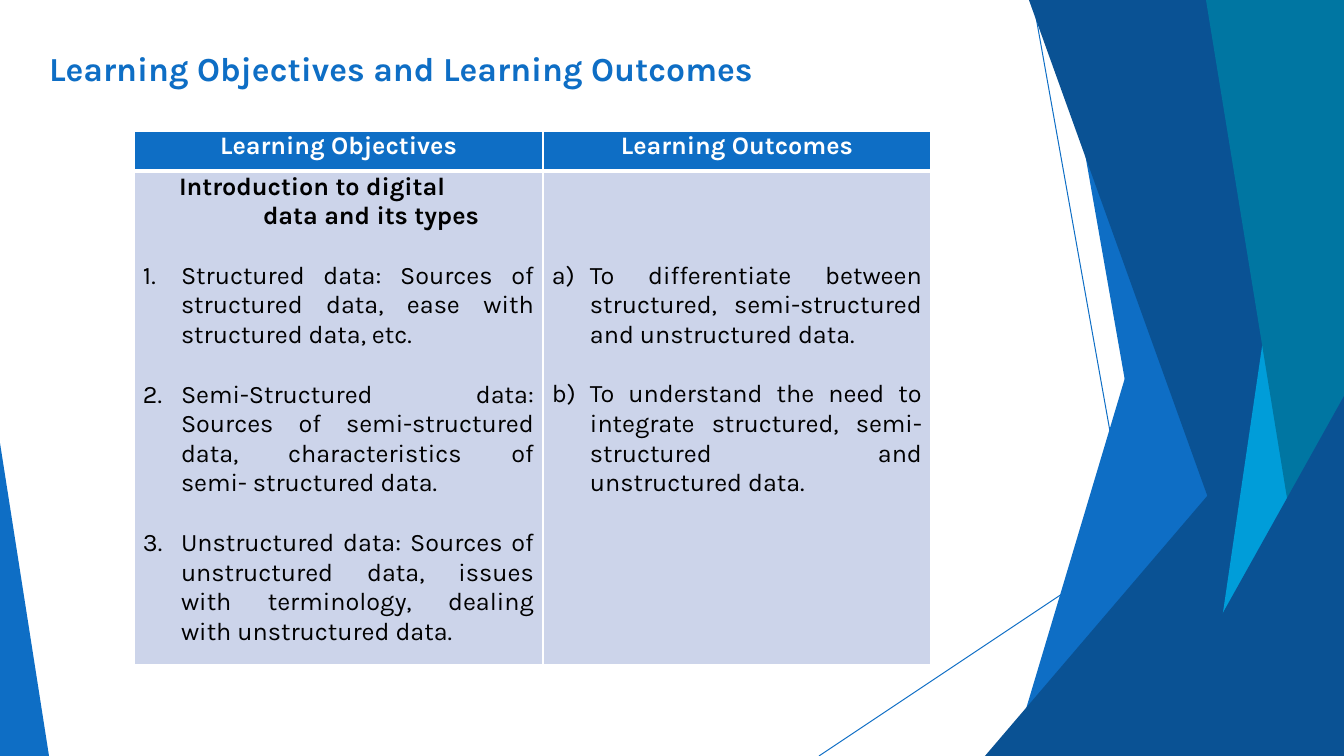
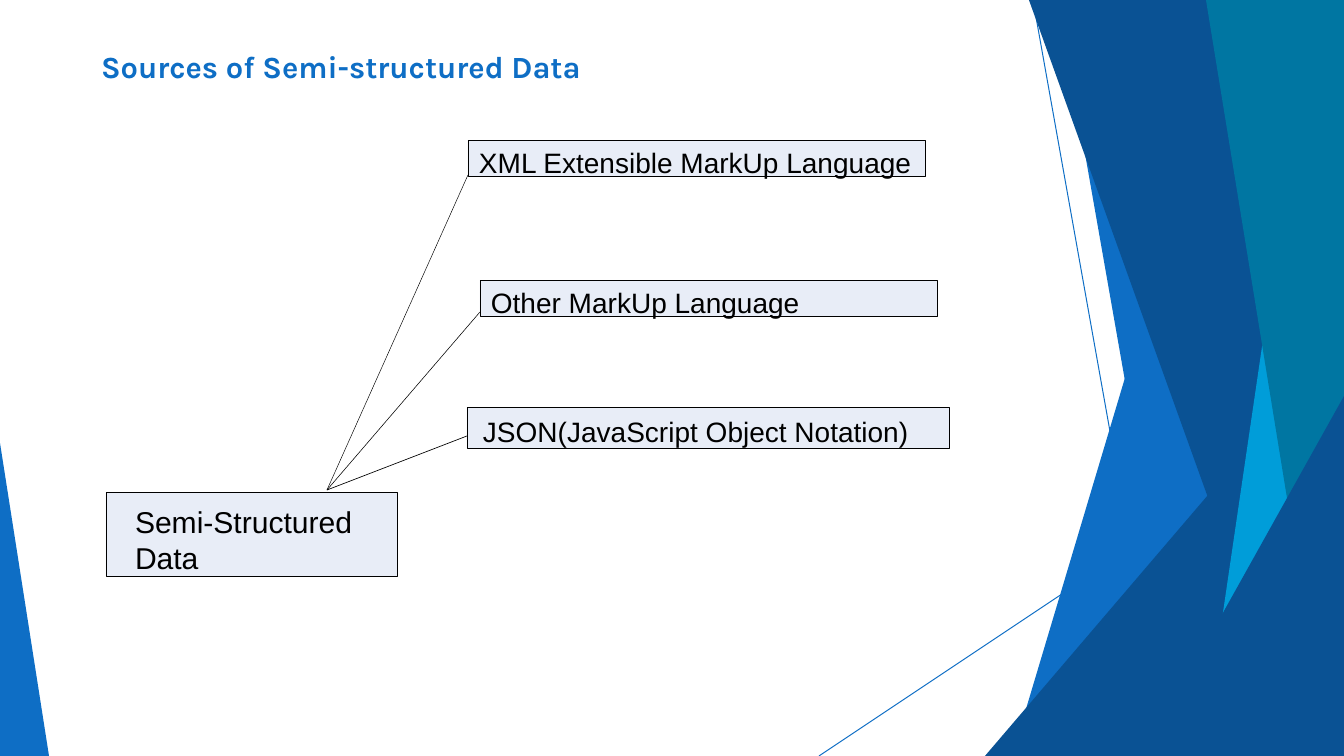
from lxml.etree import SubElement
from pptx import Presentation
from pptx.dml.color import RGBColor
from pptx.enum.shapes import MSO_CONNECTOR as CONN, MSO_SHAPE as SHAPE
from pptx.enum.text import MSO_ANCHOR as ANCHOR, MSO_AUTO_SIZE as FIT, PP_ALIGN as ALIGN
from pptx.oxml.ns import qn
from pptx.util import Pt

SCALE = 914400 / 100.8
W, H = 1344, 756
COLORS = {
    "blue": "0E6EC5", "navy": "0A5294", "sky": "009DD9", "teal": "0076A2",
    "cell": "CCD4EA", "box": "E8EDF7", "white": "FFFFFF", "black": "000000",
}
HEAD_FONT, BOX_FONT = "Karla", "Arial"

BAND_LINES = [((1033, 0), (1168, H)), ((W, 406), (819, H))]
BANDS = [
    ("blue", [(W, 0), (1238, 0), (1012, H), (W, H)]),
    ("blue", [(W, 0), (1058, 0), (1191, H), (W, H)]),
    ("navy", [(W, 336), (985, H), (W, H)]),
    ("navy", [(W, 0), (1029, 0), (1301, H), (W, H)]),
    ("sky", [(W, 0), (1313, 0), (1202, H), (W, H)]),
    ("teal", [(W, 0), (1206, 0), (1329, H), (W, H)]),
    ("navy", [(W, 396), (1143, H), (W, H)]),
    ("blue", [(0, 443), (0, H), (49, H)]),
]

OBJECTIVES = [
    "Structured data: Sources of structured data, ease with structured data, etc.",
    "Semi-Structured data:\vSources of semi-structured data, characteristics of\v"
    "semi- structured data.",
    "Unstructured data: Sources of unstructured data, issues with terminology, dealing\v"
    "with unstructured data.",
]
OUTCOMES = [
    "To differentiate between structured, semi-structured and unstructured data.",
    "To understand the need to integrate structured, semi- structured and\v"
    "unstructured data.",
]


def px(n):
    return round(n * SCALE)


def rgb(name):
    return RGBColor.from_string(COLORS[name])


def add_text(p, text, size, color, font=HEAD_FONT, bold=False):
    for i, line in enumerate(text.split("\v")):
        if i:
            p.add_line_break()
        r = p.add_run()
        r.text = line
        r.font.size, r.font.name, r.font.bold = Pt(size), font, bold
        r.font.color.rgb = rgb(color)


def set_margins(obj, left=0, top=0, right=0, bottom=0):
    obj.margin_left, obj.margin_top = px(left), px(top)
    obj.margin_right, obj.margin_bottom = px(right), px(bottom)


def add_line(s, start, end, color, width):
    c = s.shapes.add_connector(CONN.STRAIGHT, *map(px, start + end))
    c.line.color.rgb = rgb(color)
    c.line.width = Pt(width)
    SubElement(c.element.spPr, qn("a:effectLst"))
    return c


def add_band(s, color, points):
    builder = s.shapes.build_freeform(*points[0], scale=SCALE)
    builder.add_line_segments(points[1:], close=True)
    sp = builder.convert_to_shape()
    sp.shadow.inherit = False
    sp.fill.solid()
    sp.fill.fore_color.rgb = rgb(color)
    sp.line.fill.background()
    return sp


def style_layout(layout, s):
    title = layout.placeholders[0]
    title.left, title.top, title.width, title.height = map(px, (48, 48, 1246, 41))
    bands = [add_line(s, a, b, "blue", 0.72) for a, b in BAND_LINES]
    bands += [add_band(s, color, points) for color, points in BANDS]
    for i, sp in enumerate(bands):
        sp.element.xpath(".//p:cNvPr")[0].set("id", str(20 + i))
        layout.shapes.element.insert(2 + i, sp.element)


def add_title(s, text, size, indent):
    tf = s.shapes.title.text_frame
    tf.auto_size, tf.vertical_anchor = FIT.NONE, ANCHOR.TOP
    set_margins(tf, left=indent)
    p = tf.paragraphs[0]
    p.alignment = ALIGN.LEFT
    add_text(p, text, size, "blue", bold=True)


def set_indent(p, left, first):
    pPr = p._p.get_or_add_pPr()
    pPr.set("marL", str(px(left)))
    pPr.set("indent", str(px(first)))
    return pPr


def add_numbered(p, text, scheme, gap):
    p.alignment = ALIGN.JUSTIFY
    p.space_before = Pt(gap)
    SubElement(set_indent(p, 47, -38), qn("a:buAutoNum"), type=scheme)
    add_text(p, text, 18, "black")


def style_cell(cell, color, top_border, bottom_border):
    tcPr = cell._tc.get_or_add_tcPr()
    for side, width in zip("LRTB", (1, 1, top_border, bottom_border)):
        ln = SubElement(tcPr, qn(f"a:ln{side}"), w=str(Pt(width)))
        fill = SubElement(ln, qn("a:solidFill"))
        SubElement(fill, qn("a:srgbClr"), val=COLORS["white"])
    cell.fill.solid()
    cell.fill.fore_color.rgb = rgb(color)
    cell.vertical_anchor = ANCHOR.TOP


def add_goal_table(s):
    widths, heights = (409, 388), (40, 494)
    frame = s.shapes.add_table(2, 2, px(134), px(131), px(sum(widths)), px(sum(heights)))
    table = frame.table
    for col, width in zip(table.columns, widths):
        col.width = px(width)
    for row, height in zip(table.rows, heights):
        row.height = px(height)
    for i, text in enumerate(("Learning Objectives", "Learning Outcomes")):
        head, body = table.cell(0, i), table.cell(1, i)
        style_cell(head, "blue", 1, 3)
        style_cell(body, "cell", 3, 1)
        set_margins(head)
        p = head.text_frame.paragraphs[0]
        p.alignment = ALIGN.CENTER
        add_text(p, text, 18, "white", bold=True)

    objectives, outcomes = table.cell(1, 0), table.cell(1, 1)
    set_margins(objectives, top=1, right=9)
    set_margins(outcomes, top=90, right=9)
    tf = objectives.text_frame
    p = tf.paragraphs[0]
    set_indent(p, 129, -84)
    add_text(p, "Introduction to digital\vdata and its types", 18, "black", bold=True)
    for text in OBJECTIVES:
        add_numbered(tf.add_paragraph(), text, "arabicPeriod", 21.5)
    tf = outcomes.text_frame
    for i, text in enumerate(OUTCOMES):
        p = tf.add_paragraph() if i else tf.paragraphs[0]
        add_numbered(p, text, "alphaLcParenR", 21.5 if i else 0)


def add_box(s, box, text, left, top=0, size=20, spacing=None):
    sp = s.shapes.add_shape(SHAPE.RECTANGLE, *map(px, box))
    sp.shadow.inherit = False
    sp.fill.solid()
    sp.fill.fore_color.rgb = rgb("box")
    sp.line.color.rgb = rgb("black")
    sp.line.width = Pt(0.5)
    tf = sp.text_frame
    tf.word_wrap, tf.vertical_anchor = True, ANCHOR.TOP
    set_margins(tf, left, top)
    p = tf.paragraphs[0]
    p.alignment = ALIGN.LEFT
    if spacing:
        p.line_spacing = Pt(spacing)
    add_text(p, text, size, "black", BOX_FONT)


def add_source_map(s):
    for end, width in (((468, 175), 0.33), ((480, 312), 0.39), ((467, 436), 0.49)):
        add_line(s, (327, 490), end, "black", width)
    add_box(s, (468, 140, 457, 36), "XML Extensible MarkUp Language", 11, spacing=28.1)
    add_box(s, (480, 280, 457, 36), "Other MarkUp Language", 11, spacing=28.1)
    add_box(s, (467, 407, 482, 41), "JSON(JavaScript Object Notation)", 16, 7)
    add_box(s, (106, 492, 291, 84), "Semi-Structured Data", 29, 11, 21.5)


def main():
    prs = Presentation()
    prs.slide_width, prs.slide_height = px(W), px(H)
    layout = prs.slide_layouts[5]

    s = prs.slides.add_slide(layout)
    style_layout(layout, s)
    add_title(s, "Learning Objectives and Learning Outcomes", 24, 1)
    add_goal_table(s)

    s = prs.slides.add_slide(layout)
    add_title(s, "Sources of Semi-structured Data", 22, 53)
    add_source_map(s)

    prs.save("out.pptx")


main()
